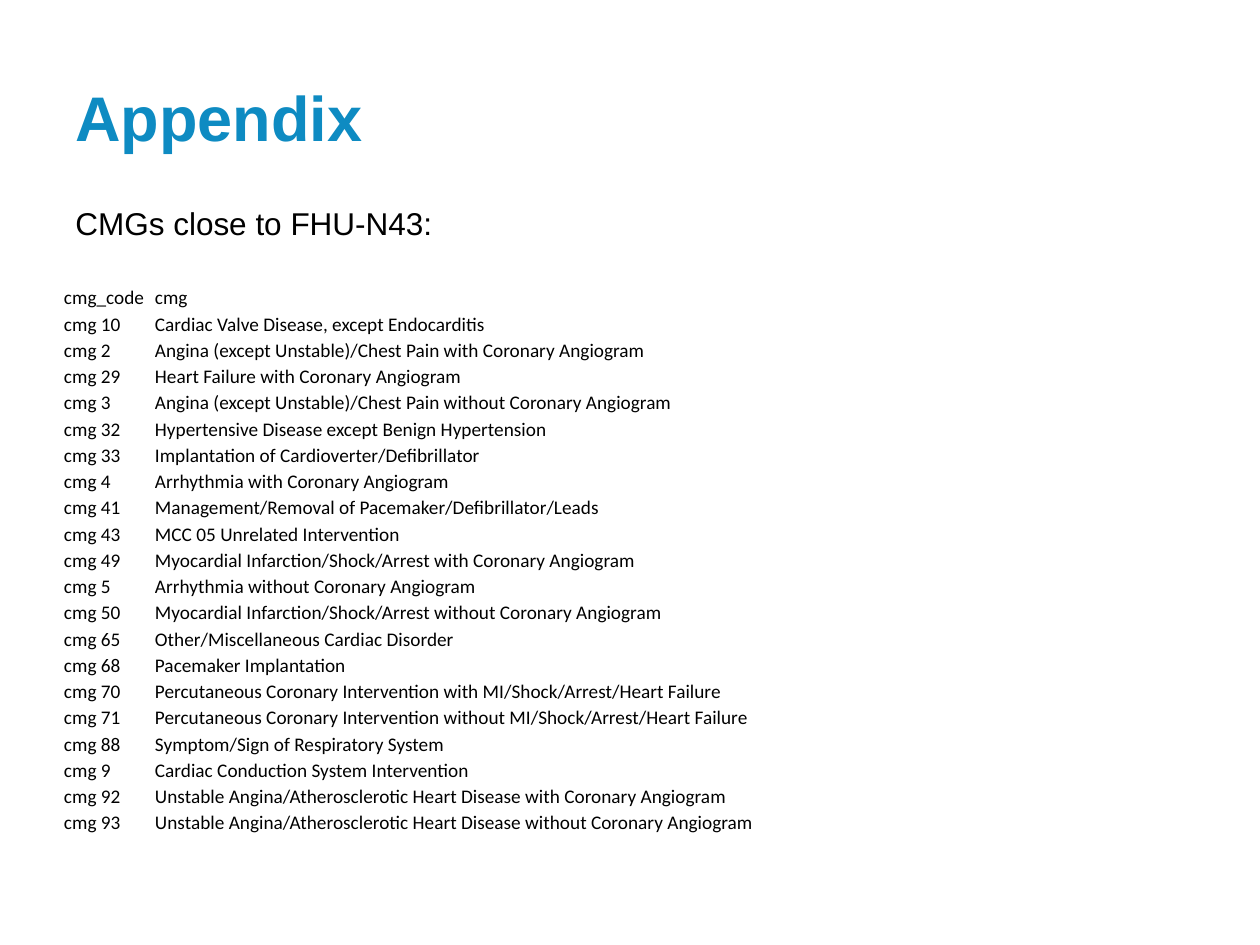
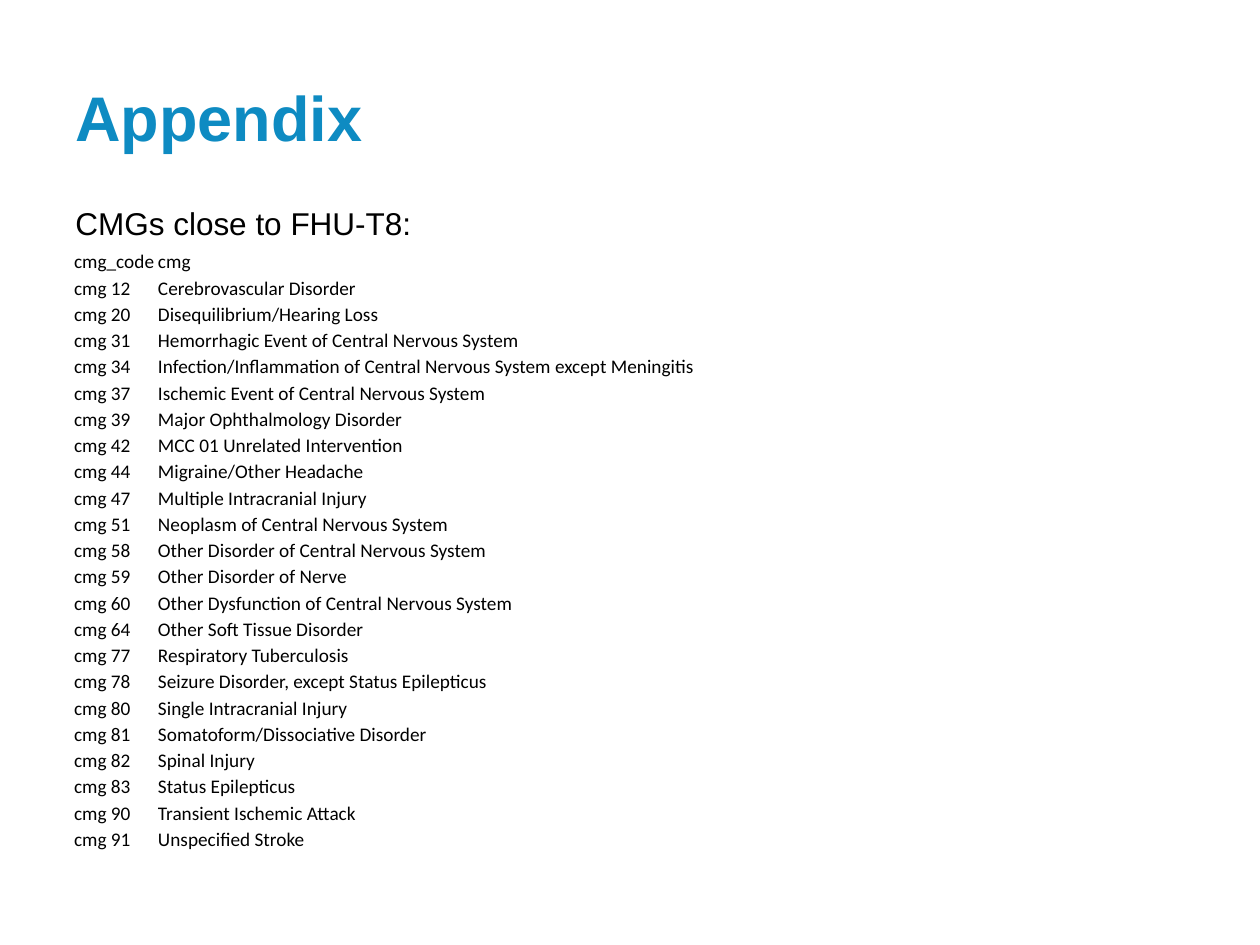
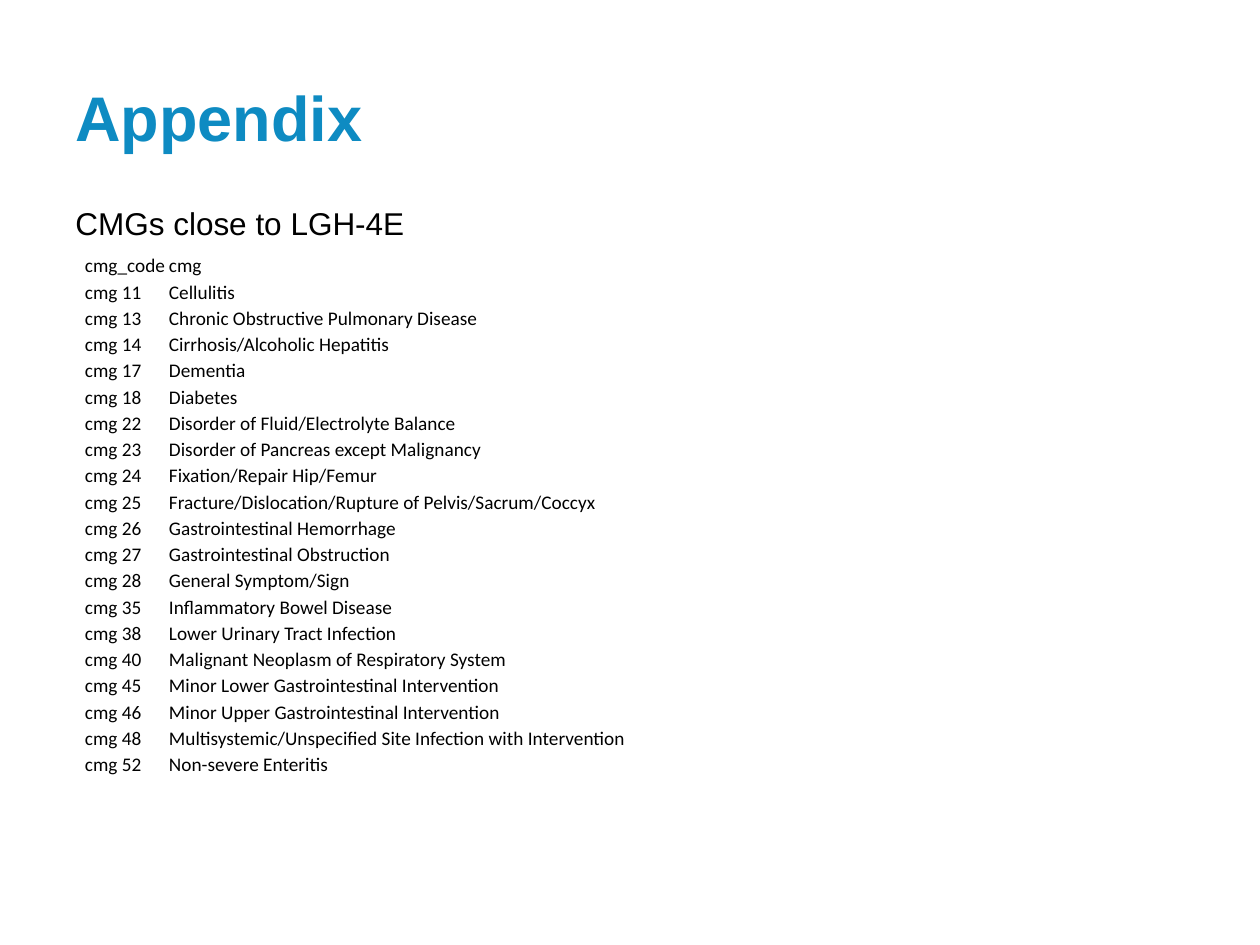
import pptx
import pptx.util
import pptx.dml.color
import pptx.enum.text

SCALE = 914400 / 126
TITLE_BLUE = pptx.dml.color.RGBColor(0x0E, 0x8B, 0xC2)
BLACK = pptx.dml.color.RGBColor(0, 0, 0)
HEADING_FONT = "Arial"
TABLE_FONT = "Calibri"
MARGIN = 63

CARDIAC_CMGS = [
    (10, "Cardiac Valve Disease, except Endocarditis"),
    (2, "Angina (except Unstable)/Chest Pain with Coronary Angiogram"),
    (29, "Heart Failure with Coronary Angiogram"),
    (3, "Angina (except Unstable)/Chest Pain without Coronary Angiogram"),
    (32, "Hypertensive Disease except Benign Hypertension"),
    (33, "Implantation of Cardioverter/Defibrillator"),
    (4, "Arrhythmia with Coronary Angiogram"),
    (41, "Management/Removal of Pacemaker/Defibrillator/Leads"),
    (43, "MCC 05 Unrelated Intervention"),
    (49, "Myocardial Infarction/Shock/Arrest with Coronary Angiogram"),
    (5, "Arrhythmia without Coronary Angiogram"),
    (50, "Myocardial Infarction/Shock/Arrest without Coronary Angiogram"),
    (65, "Other/Miscellaneous Cardiac Disorder"),
    (68, "Pacemaker Implantation"),
    (70, "Percutaneous Coronary Intervention with MI/Shock/Arrest/Heart Failure"),
    (71, "Percutaneous Coronary Intervention without MI/Shock/Arrest/Heart Failure"),
    (88, "Symptom/Sign of Respiratory System"),
    (9, "Cardiac Conduction System Intervention"),
    (92, "Unstable Angina/Atherosclerotic Heart Disease with Coronary Angiogram"),
    (93, "Unstable Angina/Atherosclerotic Heart Disease without Coronary Angiogram"),
]

NEURO_CMGS = [
    (12, "Cerebrovascular Disorder"),
    (20, "Disequilibrium/Hearing Loss"),
    (31, "Hemorrhagic Event of Central Nervous System"),
    (34, "Infection/Inflammation of Central Nervous System except Meningitis"),
    (37, "Ischemic Event of Central Nervous System"),
    (39, "Major Ophthalmology Disorder"),
    (42, "MCC 01 Unrelated Intervention"),
    (44, "Migraine/Other Headache"),
    (47, "Multiple Intracranial Injury"),
    (51, "Neoplasm of Central Nervous System"),
    (58, "Other Disorder of Central Nervous System"),
    (59, "Other Disorder of Nerve"),
    (60, "Other Dysfunction of Central Nervous System"),
    (64, "Other Soft Tissue Disorder"),
    (77, "Respiratory Tuberculosis"),
    (78, "Seizure Disorder, except Status Epilepticus"),
    (80, "Single Intracranial Injury"),
    (81, "Somatoform/Dissociative Disorder"),
    (82, "Spinal Injury"),
    (83, "Status Epilepticus"),
    (90, "Transient Ischemic Attack"),
    (91, "Unspecified Stroke"),
]

GENERAL_CMGS = [
    (11, "Cellulitis"),
    (13, "Chronic Obstructive Pulmonary Disease"),
    (14, "Cirrhosis/Alcoholic Hepatitis"),
    (17, "Dementia"),
    (18, "Diabetes"),
    (22, "Disorder of Fluid/Electrolyte Balance"),
    (23, "Disorder of Pancreas except Malignancy"),
    (24, "Fixation/Repair Hip/Femur"),
    (25, "Fracture/Dislocation/Rupture of Pelvis/Sacrum/Coccyx"),
    (26, "Gastrointestinal Hemorrhage"),
    (27, "Gastrointestinal Obstruction"),
    (28, "General Symptom/Sign"),
    (35, "Inflammatory Bowel Disease"),
    (38, "Lower Urinary Tract Infection"),
    (40, "Malignant Neoplasm of Respiratory System"),
    (45, "Minor Lower Gastrointestinal Intervention"),
    (46, "Minor Upper Gastrointestinal Intervention"),
    (48, "Multisystemic/Unspecified Site Infection with Intervention"),
    (52, "Non-severe Enteritis"),
]


def px(n):
    return pptx.util.Emu(round(n * SCALE))


ROW_HEIGHT = px(105) // 4


def set_text(tf, text, font, size, color, bold=False):
    tf.text = text
    f = tf.paragraphs[0].runs[0].font
    f.name = font
    f.size = pptx.util.Pt(size)
    f.color.rgb = color
    f.bold = bold


def add_title(s, text):
    sp = s.shapes.add_textbox(px(MARGIN), px(38), px(1134), px(157))
    tf = sp.text_frame
    tf.word_wrap = True
    tf.vertical_anchor = pptx.enum.text.MSO_ANCHOR.MIDDLE
    set_text(tf, text, HEADING_FONT, 36, TITLE_BLUE, True)


def add_subtitle(s, text, width):
    sp = s.shapes.add_textbox(px(MARGIN), px(198), px(width), px(50))
    tf = sp.text_frame
    tf.word_wrap = False
    tf.auto_size = pptx.enum.text.MSO_AUTO_SIZE.SHAPE_TO_FIT_TEXT
    set_text(tf, text, HEADING_FONT, 18, BLACK)


def fill_cell(cell, text):
    cell.fill.background()
    cell.margin_left = cell.margin_right = cell.margin_top = px(1)
    cell.margin_bottom = 0
    cell.vertical_anchor = pptx.enum.text.MSO_ANCHOR.BOTTOM
    set_text(cell.text_frame, text, TABLE_FONT, 11, BLACK)


def add_cmg_table(s, cmgs, left, top, widths):
    rows = [("cmg_code", "cmg")] + [(f"cmg {code}", name) for code, name in cmgs]
    frame = s.shapes.add_table(len(rows), len(widths), px(left), px(top),
                               px(sum(widths)), ROW_HEIGHT * len(rows))
    table = frame.table
    table.first_row = False
    table.horz_banding = False
    for column, width in zip(table.columns, widths):
        column.width = px(width)
    for row, texts in zip(table.rows, rows):
        row.height = ROW_HEIGHT
        for cell, text in zip(row.cells, texts):
            fill_cell(cell, text)


def add_appendix_slide(prs, unit, subtitle_width, cmgs, left, top, widths):
    s = prs.slides.add_slide(prs.slide_layouts[6])
    add_title(s, "Appendix")
    add_subtitle(s, f"CMGs close to {unit}", subtitle_width)
    add_cmg_table(s, cmgs, left, top, widths)


def main():
    prs = pptx.Presentation()
    prs.slide_width = px(1260)
    prs.slide_height = px(945)
    add_appendix_slide(prs, "FHU-N43:", 394, CARDIAC_CMGS, MARGIN, 284, (91, 645))
    add_appendix_slide(prs, "FHU-T8:", 373, NEURO_CMGS, 73, 248, (84, 586))
    add_appendix_slide(prs, "LGH-4E", 358, GENERAL_CMGS, 84, 252, (84, 528))
    prs.save("out.pptx")


if __name__ == "__main__":
    main()
